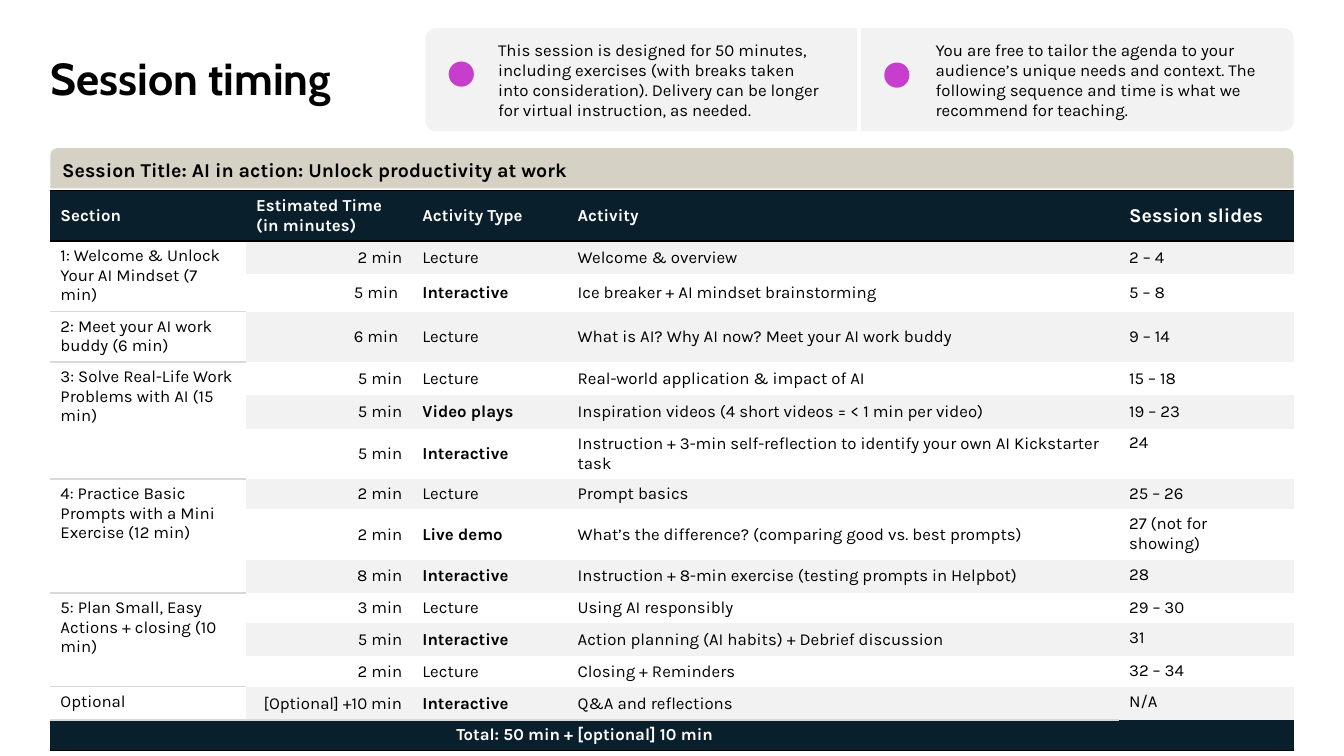
import pptx
import pptx.util
import pptx.dml.color
import pptx.enum.shapes
import pptx.enum.text
import pptx.oxml
import pptx.oxml.ns
from dataclasses import dataclass

Inches = pptx.util.Inches
SHAPE = pptx.enum.shapes.MSO_SHAPE
ANCHOR = pptx.enum.text.MSO_ANCHOR
ALIGN = pptx.enum.text.PP_ALIGN


@dataclass(frozen=True)
class Theme:
    ink: str = "000000"
    white: str = "FFFFFF"
    navy: str = "091F2C"
    grey: str = "F2F2F2"
    rule: str = "D9D9D9"
    sand: str = "D5D1C5"
    dot: str = "C73ECC"
    head_font: str = "Cabin"
    body_font: str = "Karla"
    title: int = 32
    banner: int = 14
    body: int = 12


T = Theme()


def write(p, text, size=T.body, color=T.ink, bold=False, font=T.body_font):
    r = p.add_run()
    r.text = text
    r.font.size = pptx.util.Pt(size)
    r.font.name = font
    r.font.bold = bold
    r.font.color.rgb = pptx.dml.color.RGBColor.from_string(color)


def add_block(kind, left, top, width, height, color):
    sp = s.shapes.add_shape(kind, Inches(left), Inches(top), Inches(width), Inches(height))
    sp.shadow.inherit = False
    sp.fill.solid()
    sp.fill.fore_color.rgb = pptx.dml.color.RGBColor.from_string(color)
    sp.line.fill.background()
    return sp


prs = pptx.Presentation()
prs.slide_width, prs.slide_height = Inches(13.33), Inches(7.5)
s = prs.slides.add_slide(prs.slide_layouts[5])

# Title
sp = s.shapes.title
sp.left, sp.top, sp.width, sp.height = Inches(0.5), Inches(0.5), Inches(3.55), Inches(0.54)
tf = sp.text_frame
tf.margin_left = tf.margin_top = tf.margin_right = tf.margin_bottom = 0
tf.vertical_anchor = ANCHOR.BOTTOM
tf.paragraphs[0].alignment = ALIGN.LEFT
write(tf.paragraphs[0], "Session timing", T.title, bold=True, font=T.head_font)

# Callout panel with its divider
panel = add_block(SHAPE.ROUNDED_RECTANGLE, 4.22, 0.28, 8.61, 1.02, T.grey)
panel.adjustments[0] = 0.1
divider = s.shapes.add_connector(
    pptx.enum.shapes.MSO_CONNECTOR.STRAIGHT,
    Inches(8.52), Inches(1.57), Inches(8.52), Inches(0.22))
divider.line.color.rgb = pptx.dml.color.RGBColor.from_string(T.white)
divider.line.width = pptx.util.Pt(3)
pptx.oxml.ns.qn("a:effectLst")
divider.line._get_or_add_ln().addnext(
    pptx.oxml.parse_xml("<a:effectLst %s/>" % pptx.oxml.ns.nsdecls("a")))

# Callout notes: dot left, dot top, text left, text width, text
notes = [
    (4.45, 0.61, 4.94, 3.43, "This session is designed for 50 minutes, including exercises "
     "(with breaks taken into consideration). Delivery can be longer for virtual "
     "instruction, as needed."),
    (8.77, 0.62, 9.28, 3.39, "You are free to tailor the agenda to your audience’s unique "
     "needs and context. The following sequence and time is what we recommend for teaching."),
]
for dot_left, dot_top, left, width, text in notes:
    add_block(SHAPE.OVAL, dot_left, dot_top, 0.25, 0.25, T.dot)
    tf = s.shapes.add_textbox(Inches(left), Inches(0.39), Inches(width), Inches(0.81)).text_frame
    tf.word_wrap = True
    tf.margin_left = tf.margin_top = tf.margin_bottom = 0
    tf.margin_right = Inches(0.2)
    tf.paragraphs[0].space_after = pptx.util.Pt(6)
    write(tf.paragraphs[0], text)

# Banner
banner = add_block(SHAPE.ROUND_2_SAME_RECTANGLE, 0.5, 1.47, 12.33, 0.4, T.sand)
tf = banner.text_frame
tf.vertical_anchor = ANCHOR.MIDDLE
tf.paragraphs[0].alignment = ALIGN.LEFT
write(tf.paragraphs[0], "Session Title: AI in action: Unlock productivity at work", T.banner, bold=True)

# Agenda: section, then its activities
header = ["Section", "Estimated Time\n(in minutes)", "Activity Type", "Activity", "Session slides"]
agenda = [
    ("1: Welcome & Unlock Your AI Mindset (7 min)", [
        ("2 min", "Lecture", "Welcome & overview", "2 – 4"),
        ("5 min ", "Interactive", "Ice breaker + AI mindset brainstorming", "5 – 8")]),
    ("2: Meet your AI work buddy (6 min)", [
        ("6 min ", "Lecture", "What is AI? Why AI now? Meet your AI work buddy", "9 – 14")]),
    ("3: Solve Real-Life Work Problems with AI (15 min)", [
        ("5 min", "Lecture", "Real-world application & impact of AI", "15 – 18"),
        ("5 min", "Video plays", "Inspiration videos (4 short videos = < 1 min per video)", "19 – 23"),
        ("5 min", "Interactive",
         "Instruction + 3-min self-reflection to identify your own AI Kickstarter task", "24")]),
    ("4: Practice Basic Prompts with a Mini Exercise (12 min)", [
        ("2 min", "Lecture", "Prompt basics", "25 – 26"),
        ("2 min", "Live demo", "What’s the difference? (comparing good vs. best prompts)",
         "27 (not for showing)"),
        ("8 min", "Interactive", "Instruction + 8-min exercise (testing prompts in Helpbot)", "28")]),
    ("5: Plan Small, Easy Actions + closing (10 min)", [
        ("3 min", "Lecture", "Using AI responsibly", "29 – 30"),
        ("5 min", "Interactive", "Action planning (AI habits) + Debrief discussion", "31"),
        ("2 min", "Lecture", "Closing + Reminders", "32 – 34")]),
    ("Optional", [
        ("[Optional] +10 min", "Interactive", "Q&A and reflections", "N/A")]),
]
rows = [header]
section_starts = {}
for section, activities in agenda:
    section_starts[len(rows)] = len(activities)
    rows += [(section if i == 0 else "", *activity) for i, activity in enumerate(activities)]
rows.append(["Total: 50 min + [optional] 10 min", "", "", "", ""])
last = len(rows) - 1

# Table grid
col_widths = [1.94, 1.65, 1.54, 5.47, 1.73]
row_heights = [0.46, 0.33, 0.33, 0.46, 0.33, 0.33, 0.43, 0.26,
               0.33, 0.33, 0.26, 0.33, 0.26, 0.33, 0.26]
frame = s.shapes.add_table(len(rows), len(col_widths), Inches(0.5), Inches(1.89),
                           Inches(12.33), Inches(sum(row_heights)))
table = frame.table
table.first_row = table.horz_banding = False
table._tbl.tblPr.find(pptx.oxml.ns.qn("a:tableStyleId")).text = "{2D5ABB26-0587-4C30-8999-92F81FD0307C}"
for column, width in zip(table.columns, col_widths):
    column.width = Inches(width)
for row, height in zip(table.rows, row_heights):
    row.height = Inches(height)

# Table cells
for i, row in enumerate(rows):
    dark = i in (0, last)
    for j, text in enumerate(row):
        cell = table.cell(i, j)
        if dark or j == 0 or i % 2:
            color = T.navy if dark else T.white if j == 0 else T.grey
            cell.fill.solid()
            cell.fill.fore_color.rgb = pptx.dml.color.RGBColor.from_string(color)
        else:
            cell.fill.background()
        top_aligned = not dark and (j == 0 or (j == 4 and i > 5))
        cell.vertical_anchor = ANCHOR.TOP if top_aligned else ANCHOR.MIDDLE
        if j == 4 and not dark:
            cell.margin_right = Inches(0.3)
        tf = cell.text_frame
        for n, line in enumerate(text.split("\n")):
            p = tf.add_paragraph() if n else tf.paragraphs[0]
            p.font.size = pptx.util.Pt(T.body)
            if j == 1 and not dark:
                p.alignment = ALIGN.RIGHT
            elif i == last:
                p.alignment = ALIGN.CENTER
            if line:
                write(p, line, T.banner if i == 0 and j == 4 else T.body,
                      T.white if dark else T.ink,
                      dark or (j == 2 and line != "Lecture"))

        # Rules around the header, between sections and under the total
        borders = []
        if dark:
            borders.append(("lnB", T.ink))
        if i == 0:
            borders.append(("lnT", T.ink))
        elif j == 0 and i > 1 and i in section_starts:
            borders.append(("lnT", T.rule))
        for tag, color in borders:
            cell._tc.get_or_add_tcPr().insert(0, pptx.oxml.parse_xml(
                f'<a:{tag} {pptx.oxml.ns.nsdecls("a")} w="12700"><a:solidFill>'
                f'<a:srgbClr val="{color}"/></a:solidFill></a:{tag}>'))

# Merged cells
for start, count in section_starts.items():
    if count > 1:
        table.cell(start, 0).merge(table.cell(start + count - 1, 0))
table.cell(last, 0).merge(table.cell(last, 3))

prs.save("out.pptx")
